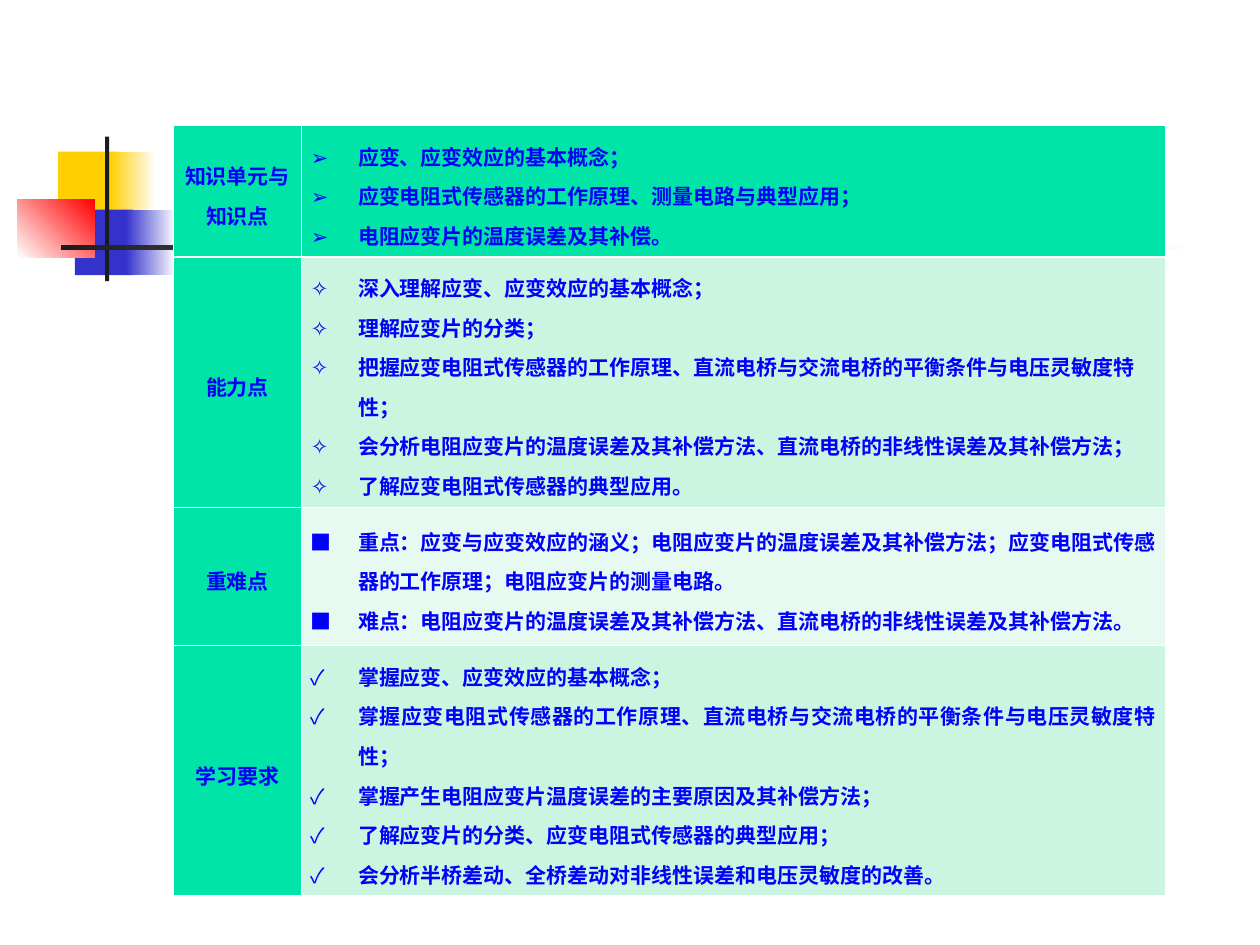
from lxml.etree import SubElement
from pptx import Presentation
from pptx.dml.color import RGBColor
from pptx.enum.shapes import MSO_SHAPE
from pptx.enum.text import MSO_ANCHOR, PP_ALIGN
from pptx.oxml.ns import qn
from pptx.util import Pt

WHITE = RGBColor(0xFF, 0xFF, 0xFF)
YELLOW = RGBColor(0xFF, 0xCF, 0x01)
INDIGO = RGBColor(0x33, 0x33, 0xCC)
RED = RGBColor(0xFF, 0x00, 0x00)
BLACK = RGBColor(0x1C, 0x1C, 0x1C)
BLUE = RGBColor(0x00, 0x00, 0xFF)
GREEN = RGBColor(0x00, 0xE4, 0xA8)
MINT = RGBColor(0xCB, 0xF5, 0xE1)
PALE = RGBColor(0xE7, 0xFA, 0xF1)

BLOCKS = [
    (33.1, 86.6, 34.6, 37.4, YELLOW, None, 0),
    (63.1, 86.6, 25.9, 37.4, YELLOW, WHITE, 0),
    (42.8, 119.8, 33.1, 37.4, INDIGO, None, 0),
    (72, 119.8, 28.5, 37.4, INDIGO, WHITE, 0),
    (9.8, 113.8, 44.2, 33.4, WHITE, RED, 45),
    (60, 78.1, 2.4, 82.6, BLACK, None, 0),
    (34.8, 140.2, 648, 2.4, BLACK, WHITE, 0),
]

LEFT, JUSTIFY = PP_ALIGN.LEFT, PP_ALIGN.JUSTIFY
ROWS = [
    ("知识单元与知识点", 74.6, GREEN, "➢", LEFT, [
        "应变、应变效应的基本概念；",
        "应变电阻式传感器的工作原理、测量电路与典型应用；",
        "电阻应变片的温度误差及其补偿。",
    ]),
    ("能力点", 118.1, MINT, "✧", LEFT, [
        "深入理解应变、应变效应的基本概念；",
        "理解应变片的分类；",
        "把握应变电阻式传感器的工作原理、直流电桥与交流电桥的平衡条件与电压灵敏度特性；",
        "会分析电阻应变片的温度误差及其补偿方法、直流电桥的非线性误差及其补偿方法；",
        "了解应变电阻式传感器的典型应用。",
    ]),
    ("重难点", 79.2, PALE, "■", LEFT, [
        "重点：应变与应变效应的涵义；电阻应变片的温度误差及其补偿方法；应变电阻式传感器的工作原理；电阻应变片的测量电路。",
        "难点：电阻应变片的温度误差及其补偿方法、直流电桥的非线性误差及其补偿方法。",
    ]),
    ("学习要求", 124.6, MINT, "✓", JUSTIFY, [
        "掌握应变、应变效应的基本概念；",
        "牚握应变电阻式传感器的工作原理、直流电桥与交流电桥的平衡条件与电压灵敏度特性；",
        "掌握产生电阻应变片温度误差的主要原因及其补偿方法；",
        "了解应变片的分类、应变电阻式传感器的典型应用；",
        "会分析半桥差动、全桥差动对非线性误差和电压灵敏度的改善。",
    ]),
]


class Painter:
    face = "Noto Sans CJK SC"
    font = {"name": face, "size": Pt(12), "bold": True}
    cell_format = {
        "vertical_anchor": MSO_ANCHOR.MIDDLE,
        "margin_left": Pt(5.2), "margin_right": Pt(5.2),
        "margin_top": Pt(3.6), "margin_bottom": Pt(3.6),
    }
    thin, thick = 0.45, 1.47
    hanging = Pt(27)

    def __init__(self, slide):
        self.s = slide

    def block(self, x, y, w, h, color, end, angle):
        sp = self.s.shapes.add_shape(MSO_SHAPE.RECTANGLE, Pt(x), Pt(y), Pt(w), Pt(h))
        sp.shadow.inherit = False
        sp.line.fill.background()
        if end is None:
            sp.fill.solid()
            sp.fill.fore_color.rgb = color
            return
        sp.fill.gradient()
        sp.fill.gradient_angle = angle
        for stop, rgb in zip(sp.fill.gradient_stops, (color, end)):
            stop.color.rgb = rgb

    def paragraph(self, p, text, align, bullet=None):
        p.alignment = align
        p.line_spacing = 1.3
        pPr = p._p.get_or_add_pPr()
        pPr.set("hangingPunct", "0")
        if bullet:
            pPr.set("marL", str(self.hanging))
            pPr.set("indent", str(-self.hanging))
            color = SubElement(pPr, qn("a:buClr"))
            SubElement(color, qn("a:srgbClr"), val=str(BLUE))
            SubElement(pPr, qn("a:buFont"), typeface=self.face)
            SubElement(pPr, qn("a:buChar"), char=bullet)
        r = p.add_run()
        r.text = text
        for name, value in self.font.items():
            setattr(r.font, name, value)
        r.font.color.rgb = BLUE
        SubElement(r._r.get_or_add_rPr(), qn("a:ea"), typeface=self.face)

    def cell(self, cell, texts, fill, align, bullet=None, top=thin, bottom=thin):
        for name, value in self.cell_format.items():
            setattr(cell, name, value)
        tcPr = cell._tc.get_or_add_tcPr()
        widths = {"L": self.thin, "R": self.thin, "T": top, "B": bottom}
        for side, width in widths.items():
            ln = SubElement(tcPr, qn("a:ln" + side), w=str(Pt(width)))
            SubElement(SubElement(ln, qn("a:solidFill")), qn("a:srgbClr"), val=str(WHITE))
        cell.fill.solid()
        cell.fill.fore_color.rgb = fill
        tf = cell.text_frame
        for i, text in enumerate(texts):
            p = tf.add_paragraph() if i else tf.paragraphs[0]
            self.paragraph(p, text, align, bullet)

    def table(self, x, y, widths, rows):
        height = sum(row[1] for row in rows)
        frame = self.s.shapes.add_table(
            len(rows), len(widths), Pt(x), Pt(y), Pt(sum(widths)), Pt(height))
        tbl = frame.table
        tbl.first_row = tbl.horz_banding = False
        for column, width in zip(tbl.columns, widths):
            column.width = Pt(width)
        for i, (title, h, fill, bullet, align, items) in enumerate(rows):
            tbl.rows[i].height = Pt(h)
            edges = {"top": self.thick if i == 1 else self.thin,
                     "bottom": self.thick if i == 0 else self.thin}
            self.cell(tbl.cell(i, 0), [title], GREEN, PP_ALIGN.CENTER, **edges)
            self.cell(tbl.cell(i, 1), items, fill, align, bullet, **edges)


def main():
    prs = Presentation()
    prs.slide_width, prs.slide_height = Pt(720), Pt(540)
    painter = Painter(prs.slides.add_slide(prs.slide_layouts[6]))
    for block in BLOCKS:
        painter.block(*block)
    painter.table(99, 71.6, [73.4, 493.7], ROWS)
    prs.save("out.pptx")


if __name__ == "__main__":
    main()
